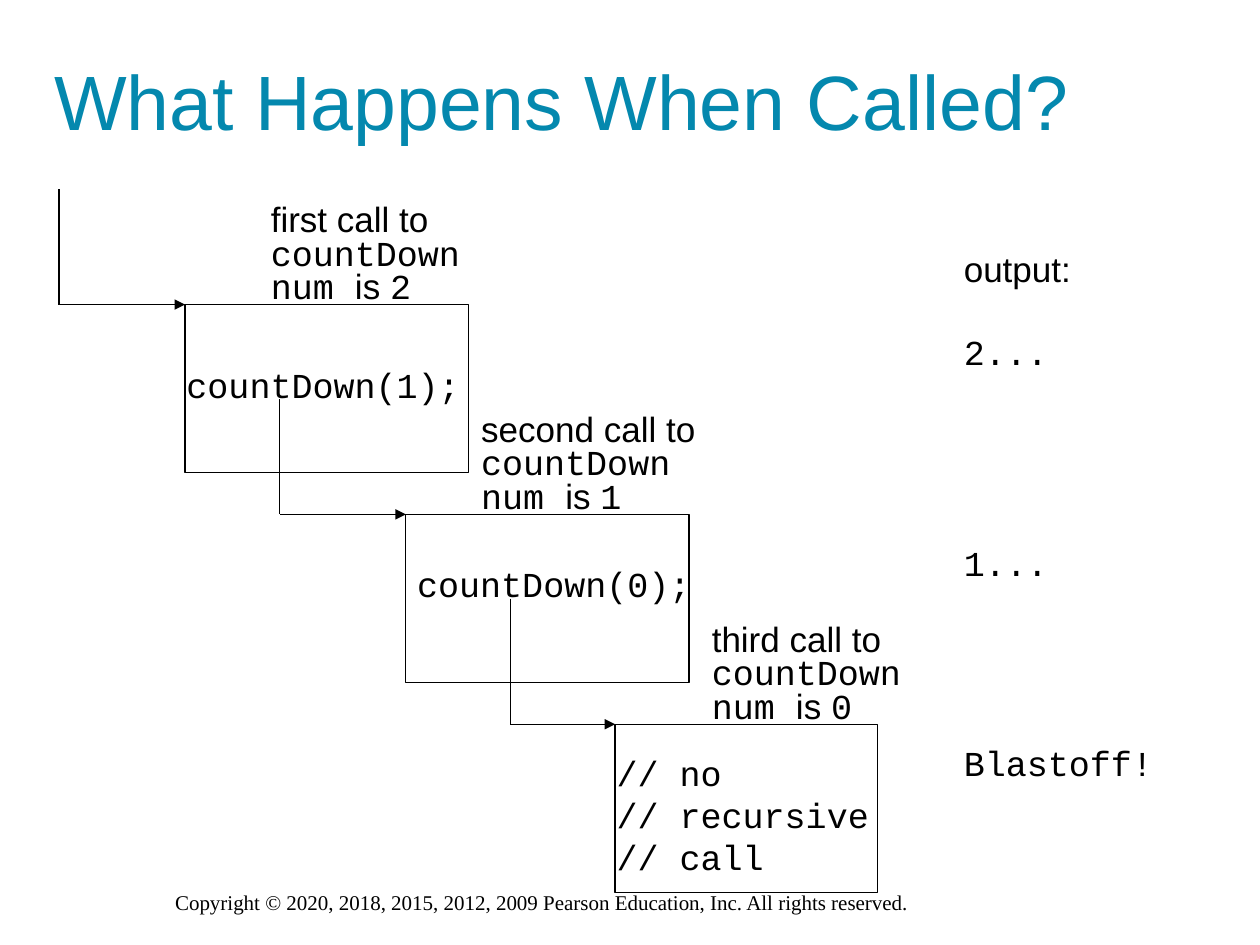
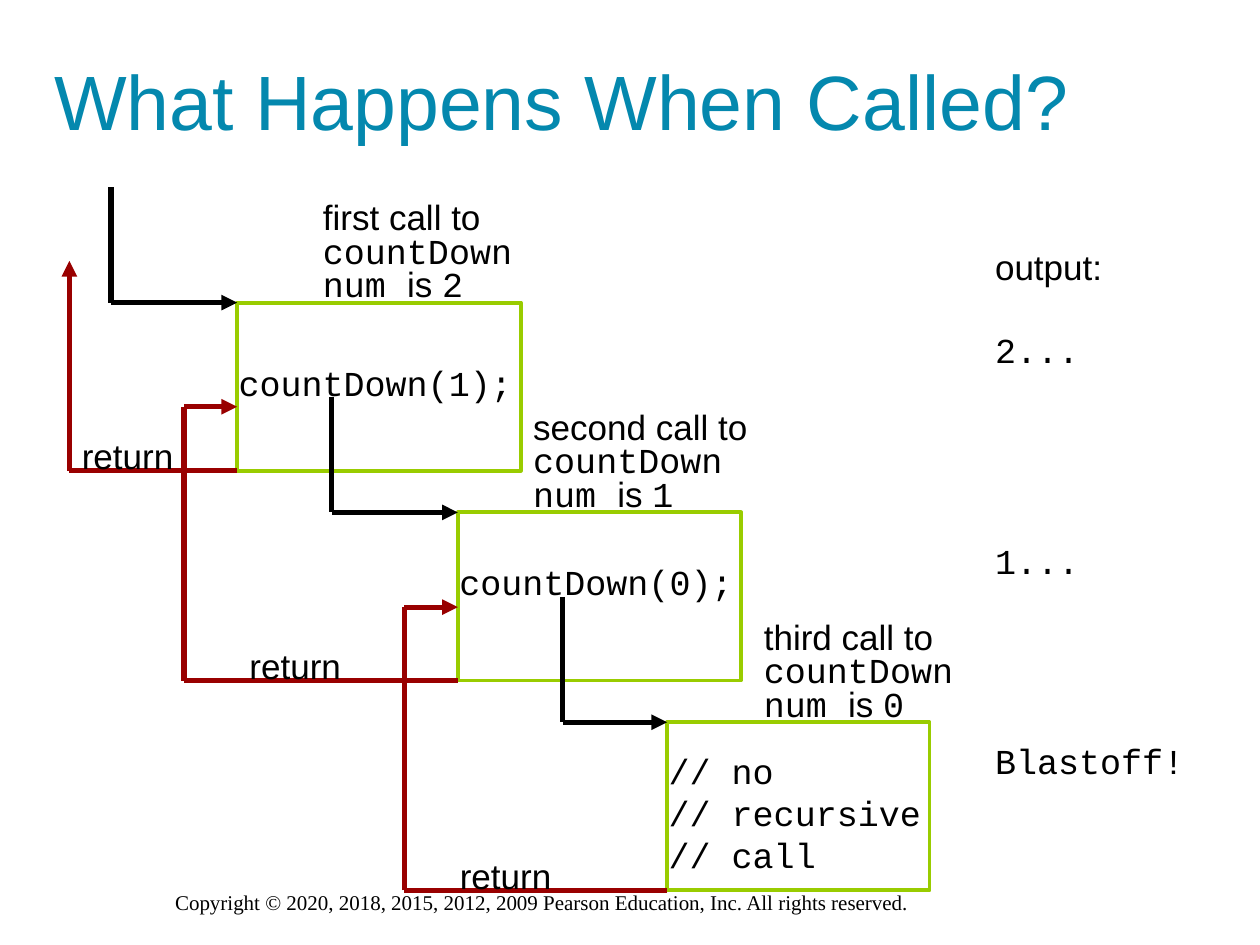
import dataclasses

import pptx
import pptx.dml.color
import pptx.enum.shapes
import pptx.enum.text
import pptx.oxml.ns
import pptx.util
from pptx.util import Cm


# Colours, fonts and type sizes
@dataclasses.dataclass(frozen=True)
class Theme:
    black: str = "000000"
    teal: str = "0488AE"
    green: str = "99CC00"
    red: str = "990000"
    sans: str = "Arial"
    mono: str = "Courier New"
    serif: str = "Times New Roman"
    title_size: int = 44
    text_size: int = 20
    footer_size: int = 12


# One call of the method: its frame, label, code and incoming arrow, in cm
@dataclasses.dataclass(frozen=True)
class Call:
    order: str
    num: str
    left: float
    top: float
    width: float
    label_left: float
    label_width: float
    code: tuple
    code_drop: float
    code_width: float
    arrow_start: tuple


# How one slide shows the calls
@dataclasses.dataclass(frozen=True)
class Look:
    shift: tuple
    frame_colour: str
    frame_weight: float
    arrow_weight: float
    code_nudges: tuple
    output_left: float
    returns: tuple = ()


THEME = Theme()
TITLE = "What Happens When Called?"
COPYRIGHT = ("Copyright © 2020, 2018, 2015, 2012, 2009 Pearson Education, Inc. "
             "All rights reserved.")
FRAME_HEIGHT = 3.39
LABEL_RISE = 2.12
CODE_INDENT = -0.22
LINE_HEIGHT = 0.84

CALLS = (
    Call("first", "2", 3.73, 6.14, 5.72, 5.21, 4.4,
         ("countDown(1);",), 1.06, 6.1, (1.19, 3.81)),
    Call("second", "1", 8.18, 10.37, 5.71, 9.45, 4.9,
         ("countDown(0);",), 0.85, 6.1, (5.64, 8.05)),
    Call("third", "0", 12.4, 14.6, 5.29, 14.1, 4.8,
         ("// no", "// recursive", "// call"), 0.43, 5.7, (10.29, 12.07)),
)

# Each output box: top, width and lines of (text, font)
OUTPUTS = (
    (4.87, 2.8, (("output:", THEME.sans), ("2...", THEME.mono))),
    (10.8, 2.3, (("1...", THEME.mono),)),
    (14.82, 4.4, (("Blastoff!", THEME.mono),)),
)

# Each return, last call first: call, lane x, end y, end x, label left
RETURNS = (
    (CALLS[2], 8.15, 12.24, 9.23, 9.02),
    (CALLS[1], 3.71, 8.2, 4.78, 4.78),
    (CALLS[0], 1.4, 5.26, None, 1.4),
)

LOOKS = (
    Look((0, 0), THEME.black, 0.75, 0.75, (0, 0.2, 0), 19.18),
    Look((1.05, -0.04), THEME.green, 2.25, 3, (0, 0, 0), 19.81, RETURNS),
)


def set_all(target, values):
    for name, value in values.items():
        setattr(target, name, value)


def rgb(colour):
    return pptx.dml.color.RGBColor.from_string(colour)


def add_element(parent, tag, **attributes):
    parent.append(parent.makeelement(pptx.oxml.ns.qn(tag), attributes))


class Deck:
    def __init__(self, theme):
        self.theme = theme
        self.deck = pptx.Presentation()
        set_all(self.deck, {"slide_width": Cm(25.4), "slide_height": Cm(19.05)})
        self.page = None

    def add_page(self, title):
        self.page = self.deck.slides.add_slide(self.deck.slide_layouts[5])
        self.footer()
        box = self.page.shapes.title
        set_all(box, {"left": Cm(0.84), "top": Cm(0.42),
                      "width": Cm(21.59), "height": Cm(3.18)})
        set_all(box.text_frame, {
            "auto_size": pptx.enum.text.MSO_AUTO_SIZE.NONE,
            "vertical_anchor": pptx.enum.text.MSO_ANCHOR.MIDDLE})
        para = box.text_frame.paragraphs[0]
        para.alignment = pptx.enum.text.PP_ALIGN.LEFT
        self.span(para, title, self.theme.sans, self.theme.title_size, self.theme.teal)

    def footer(self):
        self.text(3.28, 17.8, 18.85, 0.77, [[(COPYRIGHT, self.theme.serif)]],
                  size=self.theme.footer_size)

    def span(self, para, words, font, size, colour):
        span = para.add_run()
        span.text = words
        set_all(span.font, {"name": font, "size": pptx.util.Pt(size)})
        span.font.color.rgb = rgb(colour)

    def text(self, left, top, width, height, lines, size=None, **spacing):
        """Each line is a list of (words, font)."""
        box = self.page.shapes.add_textbox(Cm(left), Cm(top), Cm(width), Cm(height))
        frame = box.text_frame
        frame.word_wrap = False
        for index, line in enumerate(lines):
            para = frame.add_paragraph() if index else frame.paragraphs[0]
            para.alignment = pptx.enum.text.PP_ALIGN.LEFT
            set_all(para, {name: value for name, value in spacing.items()
                           if index or name != "space_before"})
            for words, font in line:
                self.span(para, words, font, size or self.theme.text_size,
                          self.theme.black)

    def frame(self, left, top, width, height, colour, weight):
        box = self.page.shapes.add_shape(
            pptx.enum.shapes.MSO_SHAPE.RECTANGLE,
            Cm(left), Cm(top), Cm(width), Cm(height))
        box.shadow.inherit = False
        box.fill.background()
        box.line.color.rgb = rgb(colour)
        box.line.width = pptx.util.Pt(weight)

    def arrow(self, points, colour, weight):
        """Straight lines through the points, with a head on the last one."""
        for start, end in zip(points, points[1:]):
            line = self.page.shapes.add_connector(
                pptx.enum.shapes.MSO_CONNECTOR.STRAIGHT,
                *(Cm(value) for value in (*start, *end)))
            line.line.color.rgb = rgb(colour)
            line.line.width = pptx.util.Pt(weight)
            properties = line._element.spPr
            add_element(properties, "a:effectLst")
        add_element(properties.find(pptx.oxml.ns.qn("a:ln")), "a:tailEnd",
                    type="triangle")

    def call(self, call, look, nudge):
        theme = self.theme
        across, down = look.shift
        left, top = call.left + across, call.top + down
        self.frame(left, top, call.width, FRAME_HEIGHT,
                   look.frame_colour, look.frame_weight)
        self.text(call.label_left + across, top - LABEL_RISE, call.label_width, 2.29,
                  [[(f"{call.order} call to", theme.sans)],
                   [("countDown", theme.mono)],
                   [("num ", theme.mono), ("is ", theme.sans), (call.num, theme.mono)]],
                  line_spacing=0.8)
        self.text(left + CODE_INDENT + nudge, top + call.code_drop, call.code_width,
                  0.27 + LINE_HEIGHT * len(call.code),
                  [[(line, theme.mono)] for line in call.code])

    def call_arrow(self, call, look):
        across, down = look.shift
        x, y = call.arrow_start[0] + across, call.arrow_start[1] + down
        top = call.top + down
        self.arrow([(x, y), (x, top), (call.left + across, top)],
                   self.theme.black, look.arrow_weight)

    def return_arrow(self, look, call, lane, end_y, end_x, label_left):
        across, down = look.shift
        bottom = call.top + down + FRAME_HEIGHT
        points = [(call.left + across, bottom), (lane, bottom), (lane, end_y)]
        if end_x is not None:
            points.append((end_x, end_y))
        self.arrow(points, self.theme.red, look.arrow_weight)
        self.text(label_left, bottom - 0.85, 2.6, 1.11, [[("return", self.theme.sans)]])

    def outputs(self, look):
        for top, width, lines in OUTPUTS:
            self.text(look.output_left, top + look.shift[1], width,
                      0.27 + LINE_HEIGHT * len(lines), [[line] for line in lines],
                      space_before=pptx.util.Pt(23.5))


def main():
    deck = Deck(THEME)
    for look in LOOKS:
        deck.add_page(TITLE)
        for call, nudge in zip(CALLS, look.code_nudges):
            deck.call(call, look, nudge)
        deck.outputs(look)
        for call in CALLS:
            deck.call_arrow(call, look)
        for steps in look.returns:
            deck.return_arrow(look, *steps)
    deck.deck.save("out.pptx")


if __name__ == "__main__":
    main()
